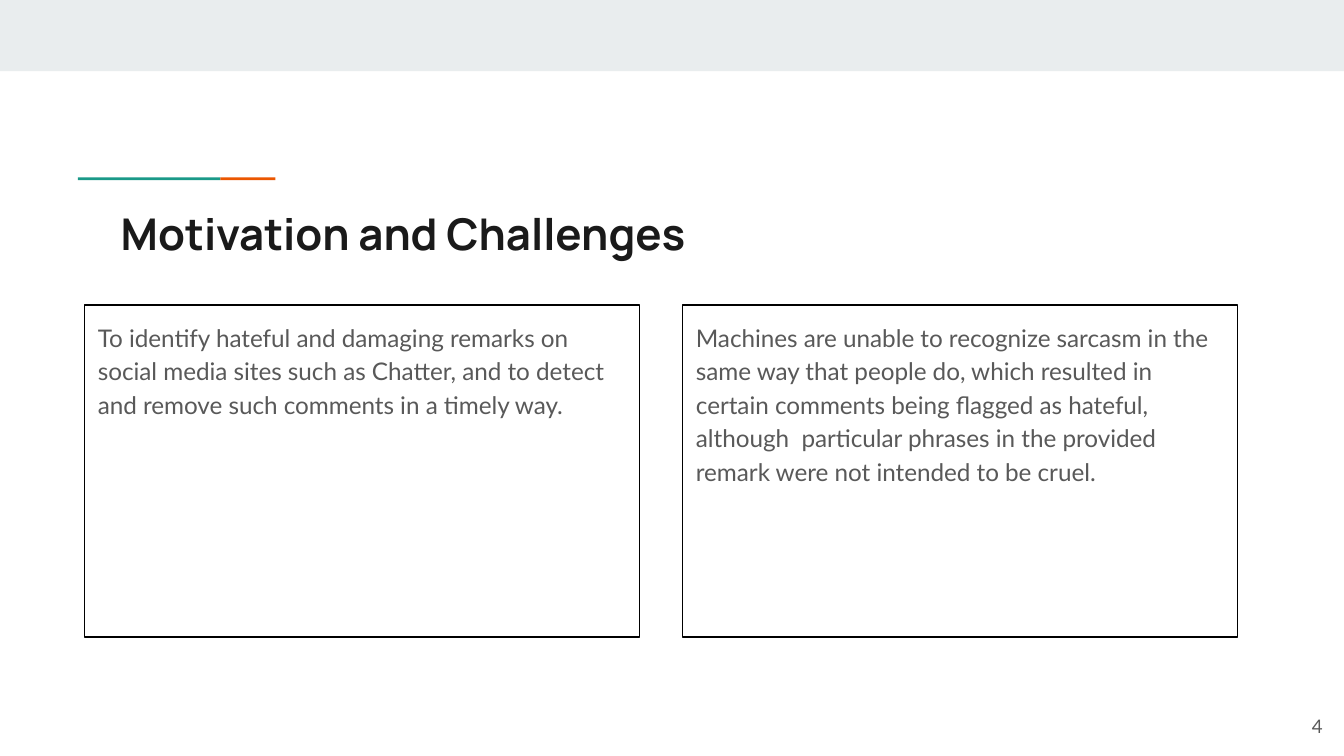
from pptx import Presentation, util as u
from pptx.dml.color import RGBColor
from pptx.enum import shapes, text

THEME = {
    "band": "E9EDEE", "teal": "1A9988", "orange": "EB5600",
    "title": "1A1A1A", "body": "595959", "border": "000000",
    "heading_font": "Manrope", "body_font": "Lato",
    "title_size": 23.4, "body_size": 13, "number_size": 10,
}

TITLE = "Motivation and Challenges"
PANELS = [
    "To identify hateful and damaging remarks on social media sites such as "
    "Chatter, and to detect and remove such comments in a timely way.",
    "Machines are unable to recognize sarcasm in the same way that people do, "
    "which resulted in certain comments being flagged as hateful, although  "
    "particular phrases in the provided remark were not intended to be cruel.",
]
PAGE = "4"
ACCENTS = [("teal", 1.06), ("orange", 0.41)]  # colour, length

PANEL_LEFT, PANEL_TOP, PANEL_W, PANEL_H, PANEL_GAP = 0.63, 2.27, 4.13, 2.47, 0.32
ACCENT_LEFT, ACCENT_TOP, ACCENT_H = 0.58, 1.32, 0.02


def rgb(name):
    return RGBColor.from_string(THEME[name])


def add_bar(s, box, color):
    sp = s.shapes.add_shape(shapes.MSO_SHAPE.RECTANGLE, *map(u.Inches, box))
    sp.shadow.inherit = False
    sp.fill.solid()
    sp.fill.fore_color.rgb = rgb(color)
    sp.line.fill.background()


def add_text(s, box, content, size, color="body", font="body_font",
             bold=False, anchor=text.MSO_ANCHOR.TOP, **paragraph):
    sp = s.shapes.add_textbox(*map(u.Inches, box))
    tf = sp.text_frame
    frame = {"word_wrap": True, "vertical_anchor": anchor}
    frame.update({f"margin_{side}": u.Inches(0.1)
                  for side in ("left", "top", "right", "bottom")})
    p = tf.paragraphs[0]
    r = p.add_run()
    r.text = content
    run = {"name": THEME[font], "size": u.Pt(THEME[size]), "bold": bold}
    for target, values in ((tf, frame), (p, paragraph), (r.font, run)):
        for key, value in values.items():
            setattr(target, key, value)
    r.font.color.rgb = rgb(color)
    return sp


def main():
    prs = Presentation()
    prs.slide_width = u.Inches(10)
    prs.slide_height = prs.slide_width * 9 // 16
    s = prs.slides.add_slide(prs.slide_layouts[6])

    add_bar(s, (0, 0, 10, 0.53), "band")
    x = ACCENT_LEFT
    for color, length in ACCENTS:
        add_bar(s, (x, ACCENT_TOP, length, ACCENT_H), color)
        x += length

    add_text(s, (0.8, 1.44, 8.41, 0.59), TITLE, "title_size",
             color="title", font="heading_font", bold=True)

    for i, content in enumerate(PANELS):
        left = PANEL_LEFT + i * (PANEL_W + PANEL_GAP)
        sp = add_text(s, (left, PANEL_TOP, PANEL_W, PANEL_H), content,
                      "body_size", line_spacing=1.15, space_after=u.Pt(12))
        sp.line.color.rgb = rgb("border")
        sp.line.width = u.Pt(0.75)

    add_text(s, (9.34, 5.19, 0.6, 0.43), PAGE, "number_size",
             anchor=text.MSO_ANCHOR.MIDDLE, alignment=text.PP_ALIGN.RIGHT)

    prs.save("out.pptx")


if __name__ == "__main__":
    main()
